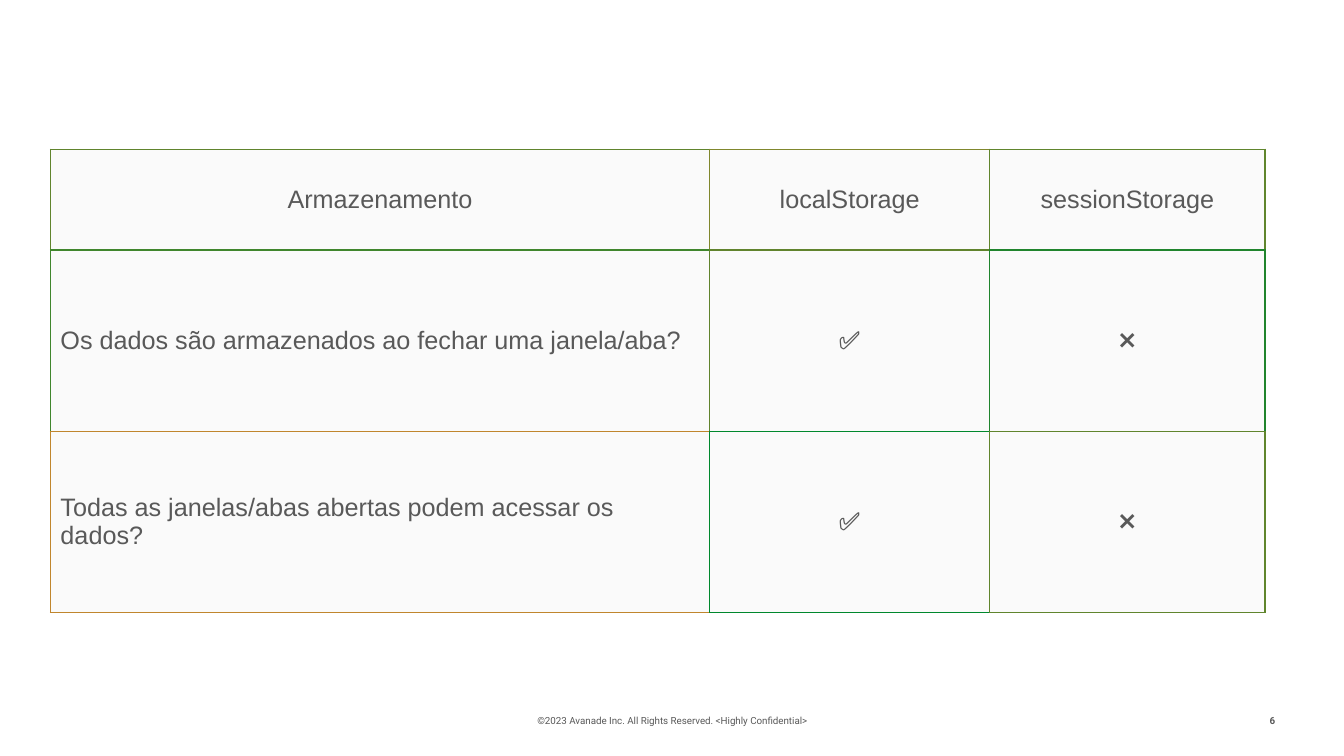
from lxml import etree
from pptx import Presentation
from pptx.dml.color import RGBColor
from pptx.enum.text import MSO_ANCHOR, PP_ALIGN
from pptx.oxml.ns import qn
from pptx.util import Pt

LEFT, MID, RIGHT = PP_ALIGN.LEFT, PP_ALIGN.CENTER, PP_ALIGN.RIGHT
CENTRE = MSO_ANCHOR.MIDDLE
GREY = "595959"


def paint(color, code):
    color.rgb = RGBColor.from_string(code)


def write(frame, text, align, face):
    para = frame.paragraphs[0]
    para.alignment = align
    run = para.add_run()
    run.text = text
    for key, value in face.items():
        setattr(run.font, key, value)
    paint(run.font.color, GREY)


deck = Presentation()
deck.slide_width, deck.slide_height = Pt(960), Pt(540)
slide = deck.slides.add_slide(deck.slide_layouts[6])

# Footer and page number
small = {"name": "Roboto", "size": Pt(7)}
notes = [
    (318.24, 324, "©2023 Avanade Inc. All Rights Reserved. <Highly Confidential>", MID, small),
    (883.44, 34.56, "6", RIGHT, {**small, "bold": True}),
]
for left, width, text, align, face in notes:
    box = slide.shapes.add_textbox(Pt(left), Pt(500.4), Pt(width), Pt(28.8))
    box.text_frame.word_wrap = True
    box.text_frame.vertical_anchor = CENTRE
    write(box.text_frame, text, align, face)

# Storage table
rows = [
    ("Armazenamento", "localStorage", "sessionStorage"),
    ("Os dados são armazenados ao fechar uma janela/aba?", "✅", "❌"),
    ("Todas as janelas/abas abertas podem acessar os dados?", "✅", "❌"),
]
widths, heights = (470.88, 200.16, 196.56), (72, 129.6, 129.6)
grid = slide.shapes.add_table(3, 3, Pt(36), Pt(106.56), Pt(sum(widths)), Pt(sum(heights))).table
grid.first_row = grid.horz_banding = False
for col, width in zip(grid.columns, widths):
    col.width = Pt(width)
for row, height in zip(grid.rows, heights):
    row.height = Pt(height)

# Border colours of each cell: left, right, top, bottom
edges = [
    ("60842D 80872D 60842D 40862D", "80872D 60852D 80872D 60832D", "60852D 60852D 60852D 20842D"),
    ("40862D 60832D 40862D C0862D", "60832D 20842D 60832D 00882D", "20842D 20842D 20842D 60852D"),
    ("C0862D 00882D C0862D C0862D", "00882D 60852D 00882D 00882D", "60852D 60852D 60852D 60852D"),
]
large = {"name": "Arial", "size": Pt(18)}
for r, texts in enumerate(rows):
    for c, text in enumerate(texts):
        cell = grid.cell(r, c)
        cell.vertical_anchor = CENTRE
        write(cell.text_frame, text, LEFT if r and not c else MID, large)
        # Borders come before the fill
        props = cell._tc.get_or_add_tcPr()
        for side, code in zip("LRTB", edges[r][c].split()):
            line = etree.SubElement(props, qn(f"a:ln{side}"), w=str(Pt(1)))
            solid = etree.SubElement(line, qn("a:solidFill"))
            etree.SubElement(solid, qn("a:srgbClr"), val=code)
        cell.fill.solid()
        paint(cell.fill.fore_color, "FAFAFA")

deck.save("out.pptx")
